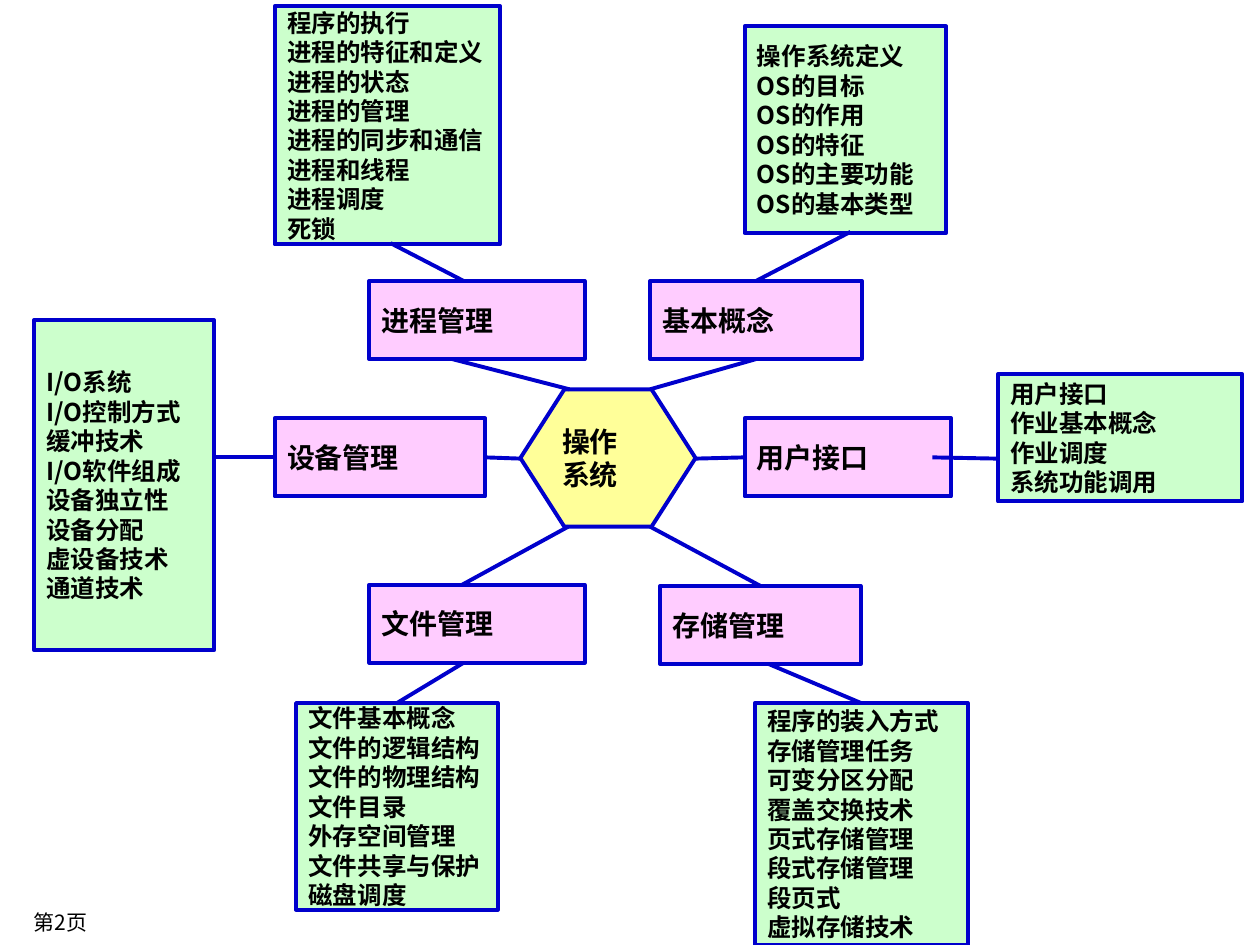
"""Draw a mind map of the operating system course on one slide."""
from dataclasses import dataclass
from typing import Tuple, Union

import pptx
import pptx.dml.color
import pptx.enum.shapes
import pptx.enum.text
import pptx.util
from lxml import etree
from pptx.oxml.ns import qn
from pptx.util import Inches

Point = Tuple[float, float]
Anchor = Union[int, Point]
TOP, LEFT, BOTTOM, RIGHT = range(4)


@dataclass(frozen=True)
class Theme:
    font: str = "Noto Sans CJK SC"
    text: str = "000000"
    line: str = "0000CC"
    hub: str = "FFFF99"
    topic: str = "FFCCFF"
    details: str = "CCFFCC"
    line_width: float = 2.25
    topic_size: int = 16
    details_size: int = 14
    page_size: int = 12


@dataclass(frozen=True)
class Box:
    left: float
    top: float
    width: float
    height: float
    text: str


@dataclass(frozen=True)
class Branch:
    topic: Box
    details: Box
    hub_end: Point
    topic_inner: Anchor
    topic_outer: Anchor
    details_end: Anchor


THEME = Theme()
HUB = Box(4.13, 3.09, 1.39, 1.09, "操作\n系统")
PAGE = Box(0.04, 7.17, 0.75, 0.42, "第2页")
BRANCHES = [
    Branch(
        Box(5.16, 2.23, 1.68, 0.62, "基本概念"),
        Box(5.91, 0.21, 1.6, 1.64,
            "操作系统定义\nOS的目标\nOS的作用\nOS的特征\nOS的主要功能\nOS的基本类型"),
        (5.16, 3.09), BOTTOM, TOP, (6.75, 1.84)),
    Branch(
        Box(2.93, 2.23, 1.71, 0.62, "进程管理"),
        Box(2.18, 0.05, 1.79, 1.89,
            "程序的执行\n进程的特征和定义\n进程的状态\n进程的管理\n"
            "进程的同步和通信\n进程和线程\n进程调度\n死锁"),
        (4.52, 3.09), (3.59, 2.85), (3.68, 2.23), (3.1, 1.93)),
    Branch(
        Box(2.18, 3.32, 1.67, 0.62, "设备管理"),
        Box(0.27, 2.54, 1.43, 2.62,
            "I/O系统\nI/O控制方式\n缓冲技术\nI/O软件组成\n"
            "设备独立性\n设备分配\n虚设备技术\n通道技术"),
        (4.13, 3.64), RIGHT, LEFT, (1.7, 3.63)),
    Branch(
        Box(5.91, 3.32, 1.64, 0.62, "用户接口"),
        Box(7.92, 2.97, 1.94, 1.01, "用户接口\n作业基本概念\n作业调度\n系统功能调用"),
        (5.52, 3.64), LEFT, (7.4, 3.63), (7.91, 3.64)),
    Branch(
        Box(5.24, 4.65, 1.59, 0.62, "存储管理"),
        Box(5.99, 5.58, 1.69, 1.92,
            "程序的装入方式\n存储管理任务\n可变分区分配\n覆盖交换技术\n"
            "页式存储管理\n段式存储管理\n段页式\n虚拟存储技术"),
        (5.16, 4.18), TOP, (6.1, 5.27), TOP),
    Branch(
        Box(2.93, 4.64, 1.71, 0.62, "文件管理"),
        Box(2.35, 5.58, 1.6, 1.64,
            "文件基本概念\n文件的逻辑结构\n文件的物理结构\n文件目录\n"
            "外存空间管理\n文件共享与保护\n磁盘调度"),
        (4.51, 4.18), (3.67, 4.64), (3.68, 5.26), (3.15, 5.58)),
]


def rgb(value: str) -> pptx.dml.color.RGBColor:
    """Turn a hex string into a colour."""
    return pptx.dml.color.RGBColor.from_string(value)


def place(box: Box) -> list:
    """Give the position and size of a box as lengths."""
    return [Inches(v) for v in (box.left, box.top, box.width, box.height)]


def write(frame, text: str, size: int, bold: bool, align) -> None:
    """Fill a text frame and format every run."""
    frame.text = text
    frame.word_wrap = False
    for paragraph in frame.paragraphs:
        paragraph.alignment = align
        for run in paragraph.runs:
            run.font.size = pptx.util.Pt(size)
            run.font.bold = bold
            run.font.color.rgb = rgb(THEME.text)
            run.font.name = THEME.font
            east_asian = etree.SubElement(run.font._element, qn("a:ea"))
            east_asian.set("typeface", THEME.font)


def style_line(line) -> None:
    """Apply the theme stroke."""
    line.color.rgb = rgb(THEME.line)
    line.width = pptx.util.Pt(THEME.line_width)


def draw_box(slide, box: Box, kind, fill: str, size: int):
    """Draw a filled, outlined shape with left-aligned bold text."""
    shape = slide.shapes.add_shape(kind, *place(box))
    shape.shadow.inherit = False
    shape.fill.solid()
    shape.fill.fore_color.rgb = rgb(fill)
    style_line(shape.line)
    shape.text_frame.vertical_anchor = pptx.enum.text.MSO_ANCHOR.MIDDLE
    write(shape.text_frame, box.text, size, True, pptx.enum.text.PP_ALIGN.LEFT)
    return shape


def draw_link(slide, start_box, start: Anchor, end_box, end: Anchor) -> None:
    """Draw a line between points or numbered sides of boxes."""
    points = [(0, 0) if isinstance(anchor, int) else anchor
              for anchor in (start, end)]
    link = slide.shapes.add_connector(
        pptx.enum.shapes.MSO_CONNECTOR.STRAIGHT,
        *[Inches(v) for point in points for v in point])
    if isinstance(start, int):
        link.begin_connect(start_box, start)
    if isinstance(end, int):
        link.end_connect(end_box, end)
    style_line(link.line)
    etree.SubElement(link._element.spPr, qn("a:effectLst"))


def draw_branch(slide, hub, branch: Branch) -> None:
    """Draw a topic with its details and both links."""
    rectangle = pptx.enum.shapes.MSO_SHAPE.RECTANGLE
    topic = draw_box(slide, branch.topic, rectangle, THEME.topic, THEME.topic_size)
    details = draw_box(slide, branch.details, rectangle, THEME.details,
                       THEME.details_size)
    draw_link(slide, hub, branch.hub_end, topic, branch.topic_inner)
    draw_link(slide, topic, branch.topic_outer, details, branch.details_end)


def main() -> None:
    """Build and save the slide."""
    deck = pptx.Presentation()
    deck.slide_width, deck.slide_height = Inches(10), Inches(7.5)
    slide = deck.slides.add_slide(deck.slide_layouts[6])
    page = slide.shapes.add_textbox(*place(PAGE))
    write(page.text_frame, PAGE.text, THEME.page_size, False,
          pptx.enum.text.PP_ALIGN.RIGHT)
    page.text_frame.word_wrap = True
    hub = draw_box(slide, HUB, pptx.enum.shapes.MSO_SHAPE.HEXAGON, THEME.hub,
                   THEME.topic_size)
    hub.adjustments[0] = 0.32
    for branch in BRANCHES:
        draw_branch(slide, hub, branch)
    deck.save("out.pptx")


if __name__ == "__main__":
    main()
